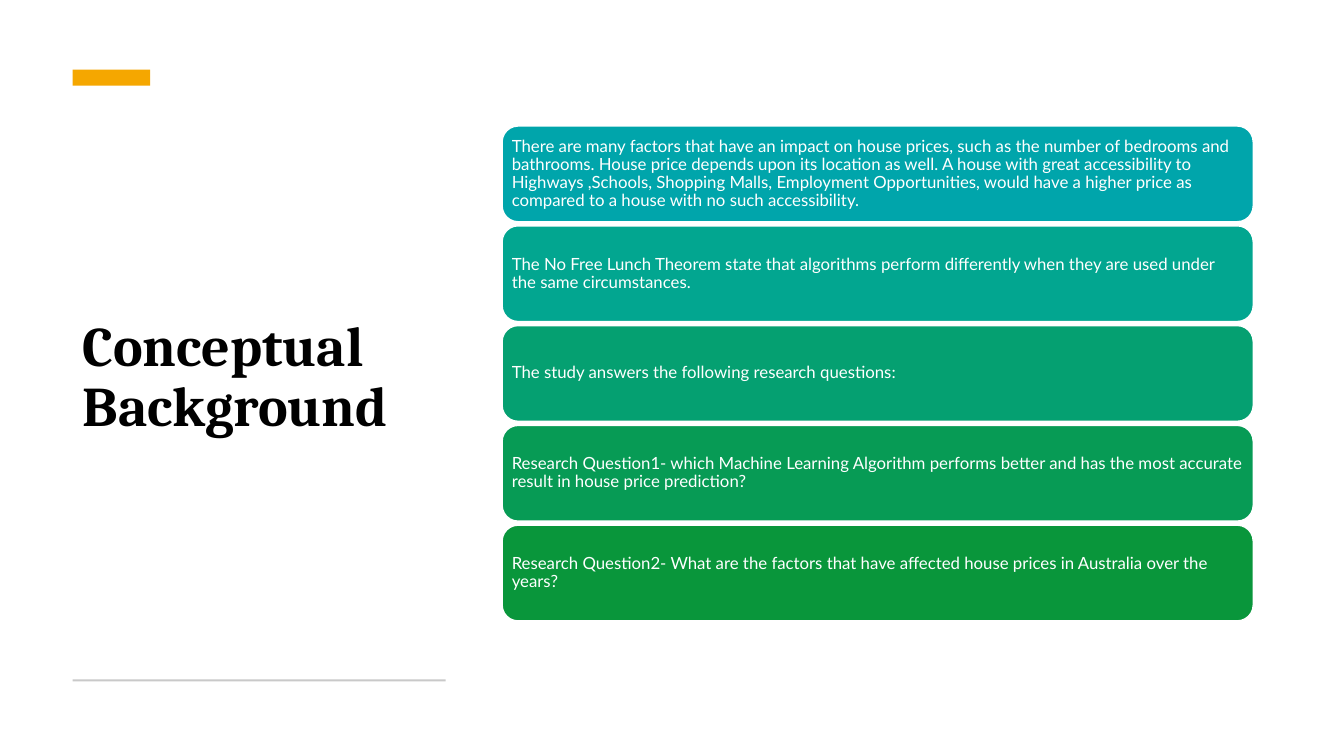
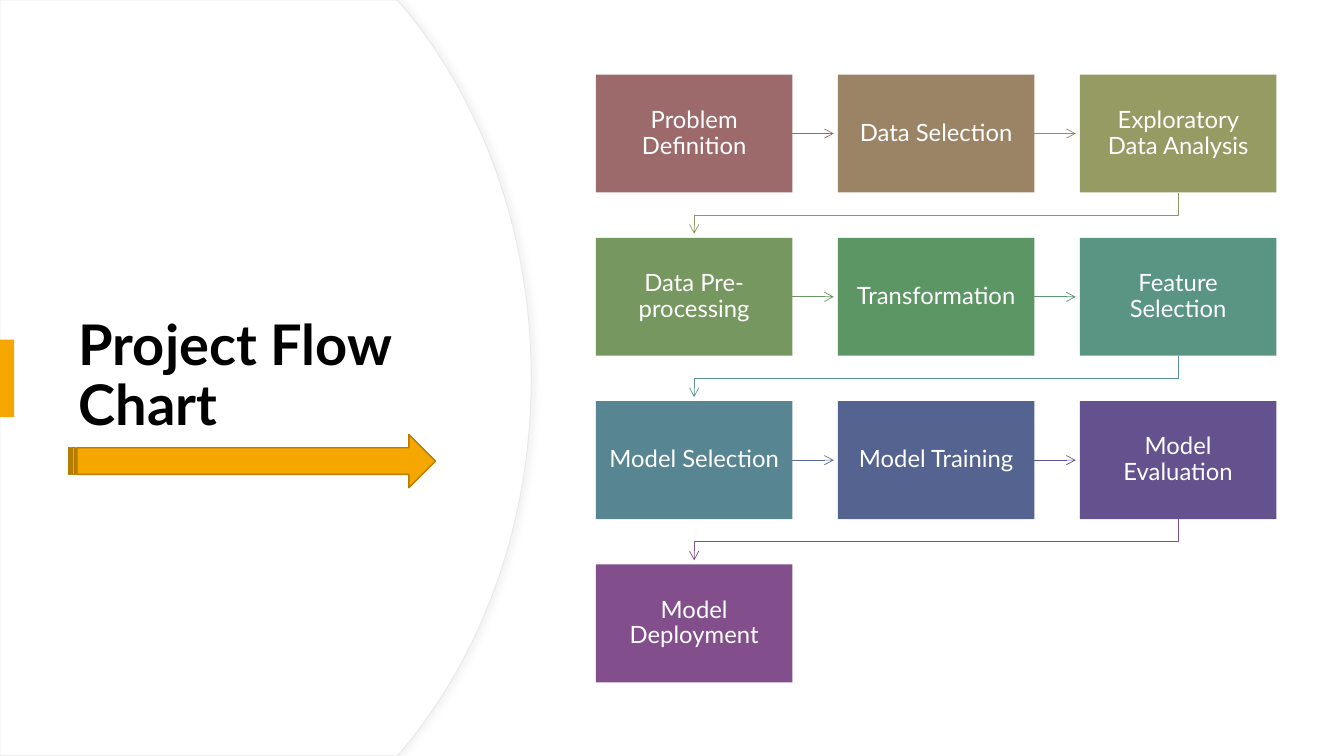
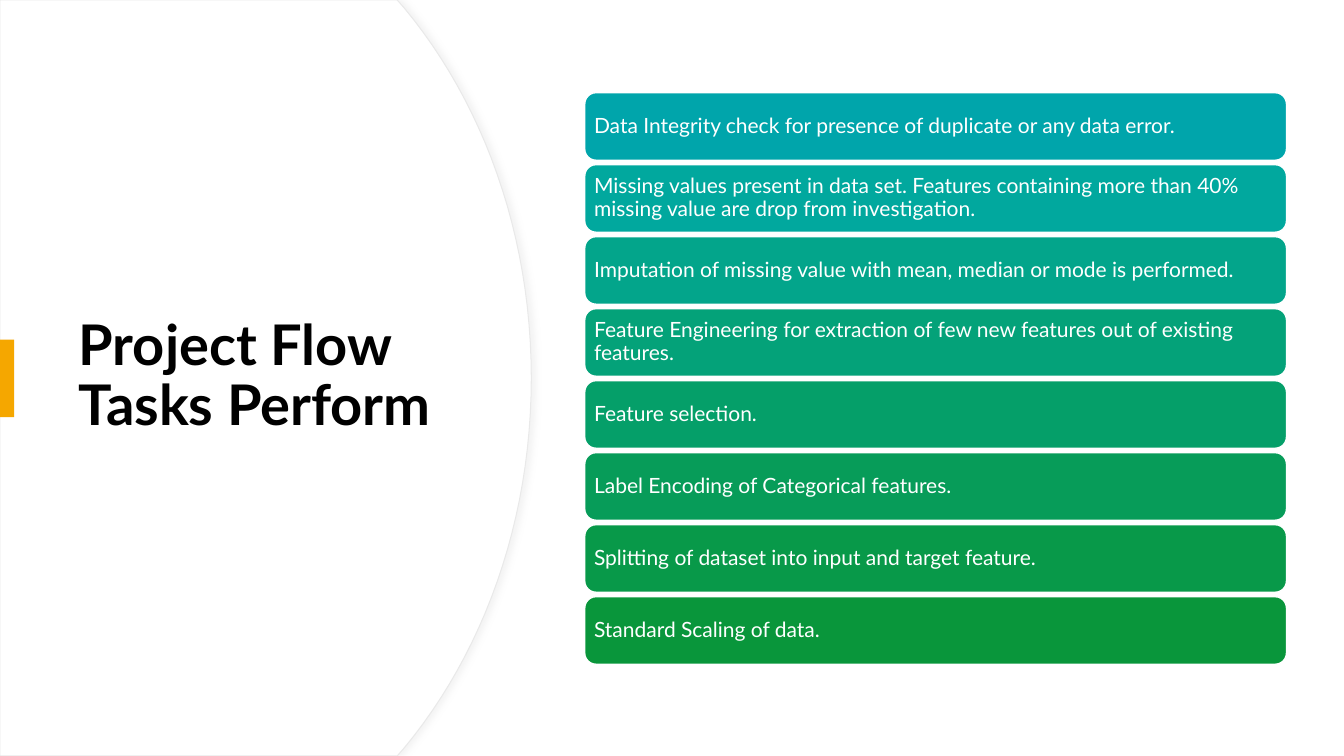
from lxml import etree
from pptx import Presentation
from pptx.dml.color import RGBColor
from pptx.enum.shapes import MSO_CONNECTOR, MSO_SHAPE
from pptx.enum.text import MSO_ANCHOR, MSO_AUTO_SIZE, PP_ALIGN
from pptx.oxml.ns import qn
from pptx.util import Inches, Pt

RECT = MSO_SHAPE.RECTANGLE
ROUND = MSO_SHAPE.ROUNDED_RECTANGLE
ARROW = MSO_SHAPE.STRIPED_RIGHT_ARROW
LINE = MSO_CONNECTOR.STRAIGHT
MIDDLE = MSO_ANCHOR.MIDDLE
FIXED = MSO_AUTO_SIZE.NONE
LEFT = PP_ALIGN.LEFT
CENTER = PP_ALIGN.CENTER

WHITE = "FFFFFF"
BLACK = "000000"
ORANGE = "F5A700"
BROWN = "B57C00"
GREY = "C9C9C9"
PALE = "E9E9E9"
SHADE = "D9D9D9"
hue = RGBColor.from_string


def paint(shape, fill=None, line=None, width=1):
    shape.shadow.inherit = False
    if fill:
        shape.fill.solid()
        shape.fill.fore_color.rgb = hue(fill)
    else:
        shape.fill.background()
    if line:
        shape.line.color.rgb = hue(line)
        shape.line.width = Pt(width)
    else:
        shape.line.fill.background()
    return shape


def write(shape, text, font="Lato", size=12, color=WHITE, bold=False, align=LEFT, inset=0.1):
    frame = shape.text_frame
    frame.text = text
    frame.word_wrap = True
    frame.auto_size = FIXED
    frame.vertical_anchor = MIDDLE
    frame.margin_left = frame.margin_right = Inches(inset)
    frame.margin_top = frame.margin_bottom = Inches(min(inset, 0.05))
    para = frame.paragraphs[0]
    para.alignment = align
    para.line_spacing = 0.9
    style = para.runs[0].font
    style.name = font
    style.size = Pt(size)
    style.bold = bold
    style.color.rgb = hue(color)


deck = Presentation()
deck.slide_width = Inches(13.33)
deck.slide_height = Inches(7.5)

curve = []
for step in range(25):
    t = step / 24
    u = 1 - t
    x = u**3 * 4.01 + 3 * u * u * t * 4.79 + 3 * u * t * t * 5.27 + t**3 * 5.27
    y = u**3 * 0.08 + 3 * u * u * t * 1.02 + 3 * u * t * t * 2.32 + t**3 * 3.75
    curve.append((x, y))
curve += [(x, 7.5 - y) for x, y in reversed(curve[:-1])]
edge = [(3.94, 0)] + curve + [(3.94, 7.5), (0, 7.5)]

heads = [
    ("Conceptual Background", "Cambria", 0.72, 1.05, 3.7, 5.41, False),
    ("Project Flow Chart", "Lato", 0.68, 1.27, 4.3, 4.95, True),
    ("Project Flow Tasks Perform", "Lato", 0.68, 1.27, 3.94, 4.95, True),
]
slides = []
for text, font, x, y, w, h, curved in heads:
    slide = deck.slides.add_slide(deck.slide_layouts[5])
    title = slide.shapes.title
    title.left, title.top = Inches(x), Inches(y)
    title.width, title.height = Inches(w), Inches(h)
    write(title, text, font=font, size=40, color=BLACK, bold=True)
    marks = [(0.72, 0.69, 0.77, 0.16, ORANGE), (0.72, 6.74, 3.7, 0.02, GREY)]
    if curved:
        marks = [(0, 3.37, 0.14, 0.77, ORANGE)]
        pen = slide.shapes.build_freeform(0, 0, scale=1.0)
        pen.add_line_segments([(Inches(a), Inches(b)) for a, b in edge])
        panel = paint(pen.convert_to_shape(), WHITE, PALE, 0.75)
        glow = etree.SubElement(
            panel._element.spPr.find(qn("a:effectLst")), qn("a:outerShdw"),
            blurRad=str(Pt(4)), dist=str(Pt(3)), dir="0")
        tint = etree.SubElement(glow, qn("a:srgbClr"), val=SHADE)
        etree.SubElement(tint, qn("a:alpha"), val="30000")
        panel._element.addnext(title._element)
    for a, b, c, d, fill in marks:
        paint(slide.shapes.add_shape(RECT, Inches(a), Inches(b), Inches(c), Inches(d)), fill)
    slides.append(slide)

first, flow, last = slides

facts = [
    ("There are many factors that have an impact on house prices, such as the number of "
     "bedrooms and bathrooms. House price depends upon its location as well. A house with "
     "great accessibility to Highways ,Schools, Shopping Malls, Employment Opportunities, "
     "would have a higher price as compared to a house with no such accessibility.", "00A5AB"),
    ("The No Free Lunch Theorem state that algorithms perform differently when they are "
     "used under the same circumstances.", "02A690"),
    ("The study answers the following research questions:", "05A071"),
    ("Research Question1- which Machine Learning Algorithm performs better and has the most "
     "accurate result in house price prediction?", "079B55"),
    ("Research Question2- What are the factors that have affected house prices in Australia "
     "over the years?", "09963B"),
]
tasks = [
    ("Data Integrity check for presence of duplicate or any data error.", "00A5AB"),
    ("Missing values present in data set. Features containing more than 40% missing value "
     "are drop from investigation.", "01A89E"),
    ("Imputation of missing value with mean, median or mode is performed.", "03A58B"),
    ("Feature Engineering for extraction of few new features out of existing features.", "04A279"),
    ("Feature selection.", "059F69"),
    ("Label Encoding of Categorical features.", "079C59"),
    ("Splitting of dataset into input and target feature.", "089949"),
    ("Standard Scaling of data.", "09963B"),
]
stacks = [
    (first, facts, 4.98, 1.25, 7.45, 0.95, 5.21, 12, 0.05),
    (last, tasks, 5.8, 0.92, 6.96, 0.67, 5.92, 15, 0.06),
]
for slide, items, x, top, w, h, end, size, inset in stacks:
    pitch = (end - top) / (len(items) - 1)
    for i, (text, fill) in enumerate(items):
        bar = slide.shapes.add_shape(
            ROUND, Inches(x), Inches(top + i * pitch), Inches(w), Inches(h))
        paint(bar, fill, WHITE)
        write(bar, text, size=size, inset=inset)

steps = [
    ("Problem Definition", "9C6A6A", "9C6A6A"),
    ("Data Selection", "9B8366", "9B8666"),
    ("Exploratory Data Analysis", "969A63", "8E9962"),
    ("Data Pre-processing", "769860", "69975F"),
    ("Transformation", "5D9665", "5B9574"),
    ("Feature Selection", "5A9482", "589293"),
    ("Model Selection", "578592", "556B91"),
    ("Model Training", "546390", "60528E"),
    ("Model Evaluation", "64528E", "824F8C"),
    ("Model Deployment", "824F8C", None),
]
left, top, wide, high = 5.91, 0.74, 1.95, 1.17
across, down, gap = 2.4, 1.62, 0.04
for i, (text, fill, ink) in enumerate(steps):
    row, col = divmod(i, 3)
    x, y = left + col * across, top + row * down
    box = flow.shapes.add_shape(RECT, Inches(x), Inches(y), Inches(wide), Inches(high))
    paint(box, fill)
    write(box, text, size=17, align=CENTER)
    if not ink:
        continue
    if col < 2:
        mid = Inches(y + high / 2)
        link = flow.shapes.add_connector(
            LINE, Inches(x + wide), mid, Inches(x + across - gap), mid)
        link.begin_connect(box, 3)
        link.line.color.rgb = hue(ink)
        link.line.width = Pt(0.5)
        etree.SubElement(link._element.spPr, qn("a:effectLst"))
    else:
        start, stop = x + wide / 2, left + wide / 2
        base, turn = y + high, y + (high + down) / 2
        pen = flow.shapes.build_freeform(Inches(start), Inches(base), scale=1.0)
        turns = [(start, turn), (stop, turn), (stop, y + down - gap)]
        pen.add_line_segments([(Inches(a), Inches(b)) for a, b in turns], close=False)
        link = paint(pen.convert_to_shape(), line=ink, width=0.5)
    etree.SubElement(link._element.spPr.find(qn("a:ln")), qn("a:tailEnd"), type="arrow")

arrow = flow.shapes.add_shape(ARROW, Inches(0.68), Inches(4.31), Inches(3.64), Inches(0.53))
paint(arrow, ORANGE, BROWN)

deck.save("out.pptx")
